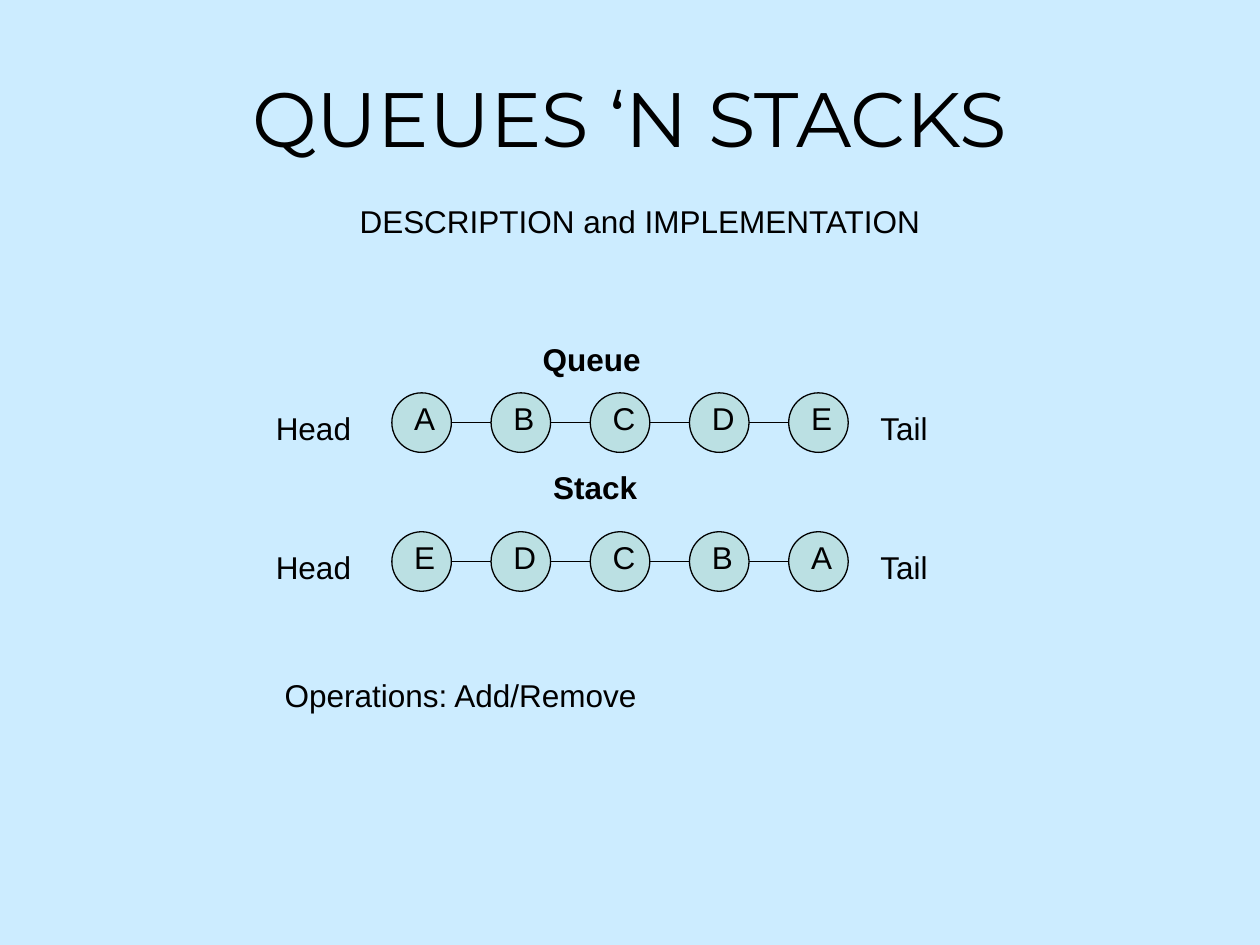
import dataclasses

import lxml.etree
import pptx
import pptx.dml.color
import pptx.enum.shapes
import pptx.enum.text
import pptx.oxml.ns
import pptx.util

Cm = pptx.util.Cm
COLORS = {"background": "CCECFF", "ink": "000000", "node": "BBE0E3"}
BODY_FONT = {"name": "Arial", "size": pptx.util.Pt(18), "bold": False}
TITLE_FONT = {"name": "Montserrat", "size": pptx.util.Pt(44), "bold": False}
CENTER = pptx.enum.text.PP_ALIGN.CENTER
LEFT = pptx.enum.text.PP_ALIGN.LEFT

FIRST_NODE_LEFT = 7.9
NODE_STEP = 2.0
NODE_SIZE = 1.2
LABEL_OFFSET = 0.2
TEXT_HEIGHT = 1.02


@dataclasses.dataclass
class Label:
    text: str
    left: float
    top: float
    width: float
    bold: bool = False
    alignment: pptx.enum.text.PP_ALIGN = LEFT


@dataclasses.dataclass
class Chain:
    letters: str
    top: float


LABELS = [
    Label("Queue", 10.69, 6.73, 2.59, bold=True),
    Label("Stack", 10.9, 9.32, 2.79, bold=True),
    Label("DESCRIPTION and IMPLEMENTATION", 6.5, 3.94, 12.8, alignment=CENTER),
    Label("Operations: Add/Remove", 5.49, 13.51, 15.01),
]
CHAINS = [Chain("ABCDE", 7.92), Chain("EDCBA", 10.72)]


def color(name: str) -> pptx.dml.color.RGBColor:
    return pptx.dml.color.RGBColor.from_string(COLORS[name])


def format_font(paragraph, values: dict) -> None:
    for attribute, value in values.items():
        setattr(paragraph.font, attribute, value)
    paragraph.font.color.rgb = color("ink")


def format_line(line) -> None:
    line.color.rgb = color("ink")
    line.width = pptx.util.Pt(0.75)


def draw_label(slide, label: Label) -> None:
    box = slide.shapes.add_textbox(
        Cm(label.left), Cm(label.top), Cm(label.width), Cm(TEXT_HEIGHT))
    frame = box.text_frame
    frame.word_wrap = True
    frame.text = label.text
    paragraph = frame.paragraphs[0]
    paragraph.alignment = label.alignment
    format_font(paragraph, BODY_FONT | {"bold": label.bold})


def draw_node(slide, letter: str, left: float, top: float) -> None:
    node = slide.shapes.add_shape(
        pptx.enum.shapes.MSO_SHAPE.OVAL,
        Cm(left), Cm(top), Cm(NODE_SIZE), Cm(NODE_SIZE))
    node.shadow.inherit = False
    node.fill.solid()
    node.fill.fore_color.rgb = color("node")
    format_line(node.line)
    draw_label(slide, Label(letter, left + LABEL_OFFSET, top, NODE_SIZE - LABEL_OFFSET))


def draw_chain(slide, chain: Chain) -> None:
    middle = Cm(chain.top + NODE_SIZE / 2)
    connector = slide.shapes.add_connector(
        pptx.enum.shapes.MSO_CONNECTOR.STRAIGHT, Cm(8.1), middle, Cm(16.5), middle)
    format_line(connector.line)
    lxml.etree.SubElement(
        connector._element.spPr, pptx.oxml.ns.qn("a:effectLst"))
    for index, letter in enumerate(chain.letters):
        draw_node(slide, letter, FIRST_NODE_LEFT + index * NODE_STEP, chain.top)
    draw_label(slide, Label("Head", 5.31, chain.top + LABEL_OFFSET, 2.21))
    draw_label(slide, Label("Tail", 17.5, chain.top + LABEL_OFFSET, 4.19))


def draw_title(slide, text: str) -> None:
    title = slide.shapes.title
    placement = {"left": 1.27, "top": 0.76, "width": 22.86, "height": 3.18}
    for attribute, value in placement.items():
        setattr(title, attribute, Cm(value))
    frame = title.text_frame
    frame.text = text
    frame.vertical_anchor = pptx.enum.text.MSO_ANCHOR.MIDDLE
    frame.paragraphs[0].alignment = CENTER
    format_font(frame.paragraphs[0], TITLE_FONT)


def main() -> None:
    presentation = pptx.Presentation()
    presentation.slide_width = Cm(25.4)
    presentation.slide_height = Cm(19.05)
    slide = presentation.slides.add_slide(presentation.slide_layouts[5])
    slide.background.fill.solid()
    slide.background.fill.fore_color.rgb = color("background")
    draw_title(slide, "QUEUES ‘N STACKS")
    for chain in CHAINS:
        draw_chain(slide, chain)
    for label in LABELS:
        draw_label(slide, label)
    presentation.save("out.pptx")


if __name__ == "__main__":
    main()
